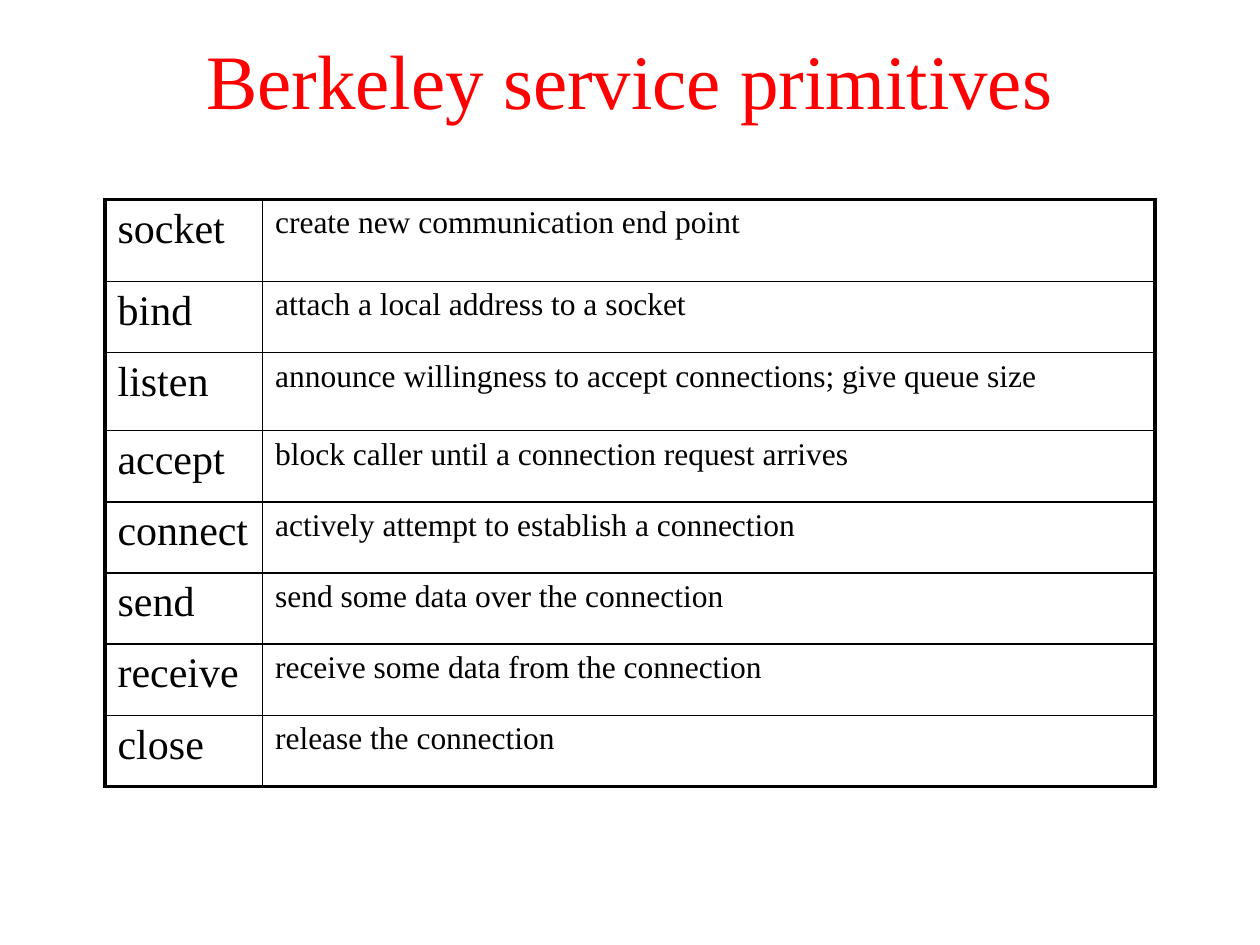
import pptx
import pptx.util
import pptx.dml.color
import pptx.enum.text
import pptx.oxml
import pptx.oxml.ns

Pt = pptx.util.Pt
BLACK = pptx.dml.color.RGBColor(0x00, 0x00, 0x00)
RED = pptx.dml.color.RGBColor(0xFF, 0x00, 0x00)
FONT = "Times New Roman"
THIN, THICK = 1, 2.25

PRIMITIVES = [
    ("socket", "create new communication end point"),
    ("bind", "attach a local address to a socket"),
    ("listen", "announce willingness to accept connections; give queue size"),
    ("accept", "block caller until a connection request arrives"),
    ("connect", "actively attempt to establish a connection"),
    ("send", "send some data over the connection"),
    ("receive", "receive some data from the connection"),
    ("close", "release the connection"),
]
COL_WIDTHS = [90, 510]
COL_SIZES = [24, 18]
ROW_HEIGHTS = [46.8, 40.7, 44.6] + [40.7] * 5


def set_font(font, size, color):
    values = {"name": FONT, "size": Pt(size), "bold": False}
    for name, value in values.items():
        setattr(font, name, value)
    font.color.rgb = color


def add_border(cell, side, width):
    ln = pptx.oxml.parse_xml(
        f'<a:ln{side} {pptx.oxml.ns.nsdecls("a")} w="{int(Pt(width))}">'
        f'<a:solidFill><a:srgbClr val="{BLACK}"/></a:solidFill></a:ln{side}>'
    )
    cell._tc.get_or_add_tcPr().append(ln)


prs = pptx.Presentation()
prs.slide_width, prs.slide_height = Pt(720), Pt(540)
s = prs.slides.add_slide(prs.slide_layouts[5])

title = s.shapes.title
box = {"left": Pt(0), "top": Pt(0), "width": Pt(720), "height": Pt(90)}
for name, value in box.items():
    setattr(title, name, value)
tf = title.text_frame
tf.text = "Berkeley service primitives"
tf.vertical_anchor = pptx.enum.text.MSO_ANCHOR.MIDDLE
p = tf.paragraphs[0]
p.alignment = pptx.enum.text.PP_ALIGN.CENTER
set_font(p.runs[0].font, 44, RED)

rows, cols = len(PRIMITIVES), len(COL_WIDTHS)
table = s.shapes.add_table(
    rows, cols, Pt(60), Pt(114), Pt(sum(COL_WIDTHS)), Pt(sum(ROW_HEIGHTS))
).table
table.first_row = False
table.horz_banding = False
for col, width in zip(table.columns, COL_WIDTHS):
    col.width = Pt(width)

for i, texts in enumerate(PRIMITIVES):
    table.rows[i].height = Pt(ROW_HEIGHTS[i])
    for j, text in enumerate(texts):
        cell = table.cell(i, j)
        cell.text = text
        set_font(cell.text_frame.paragraphs[0].runs[0].font, COL_SIZES[j], BLACK)
        outer = {"L": j == 0, "R": j == cols - 1, "T": i == 0, "B": i == rows - 1}
        for side, is_outer in outer.items():
            add_border(cell, side, THICK if is_outer else THIN)
        cell.fill.background()

prs.save("out.pptx")
